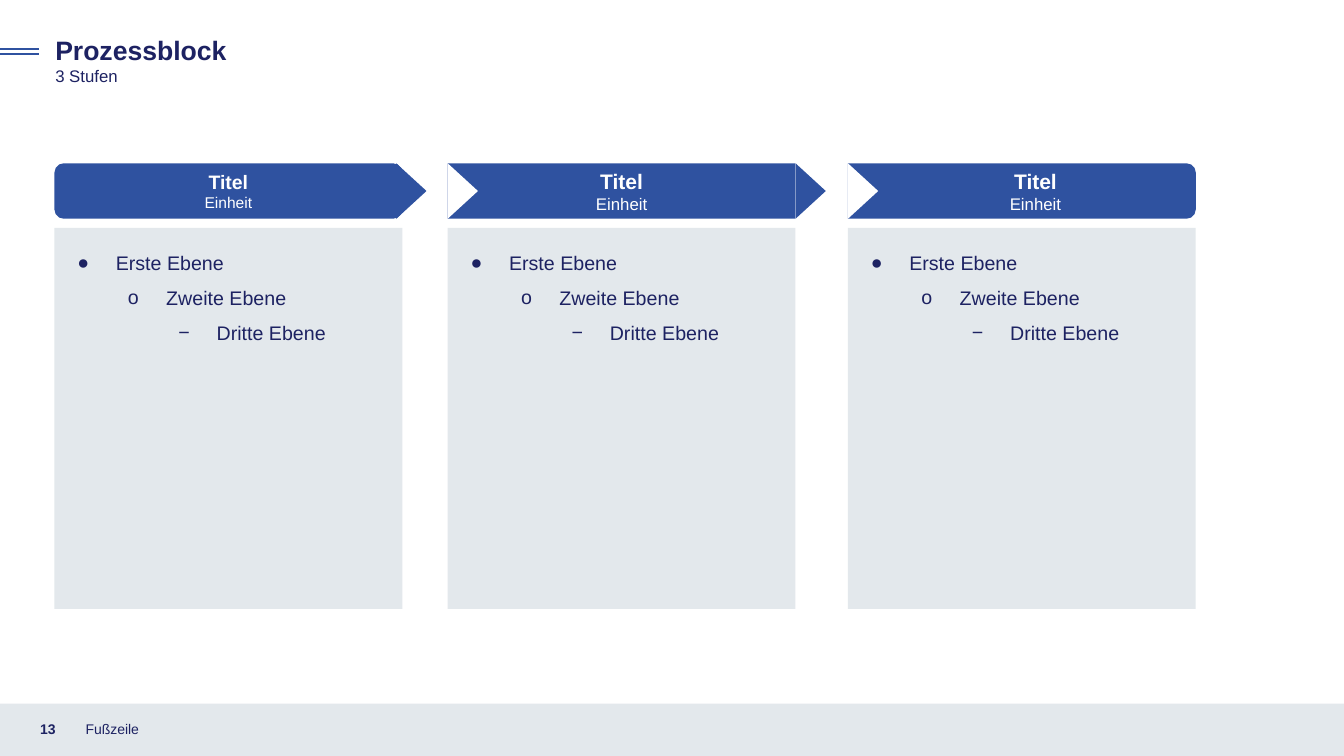
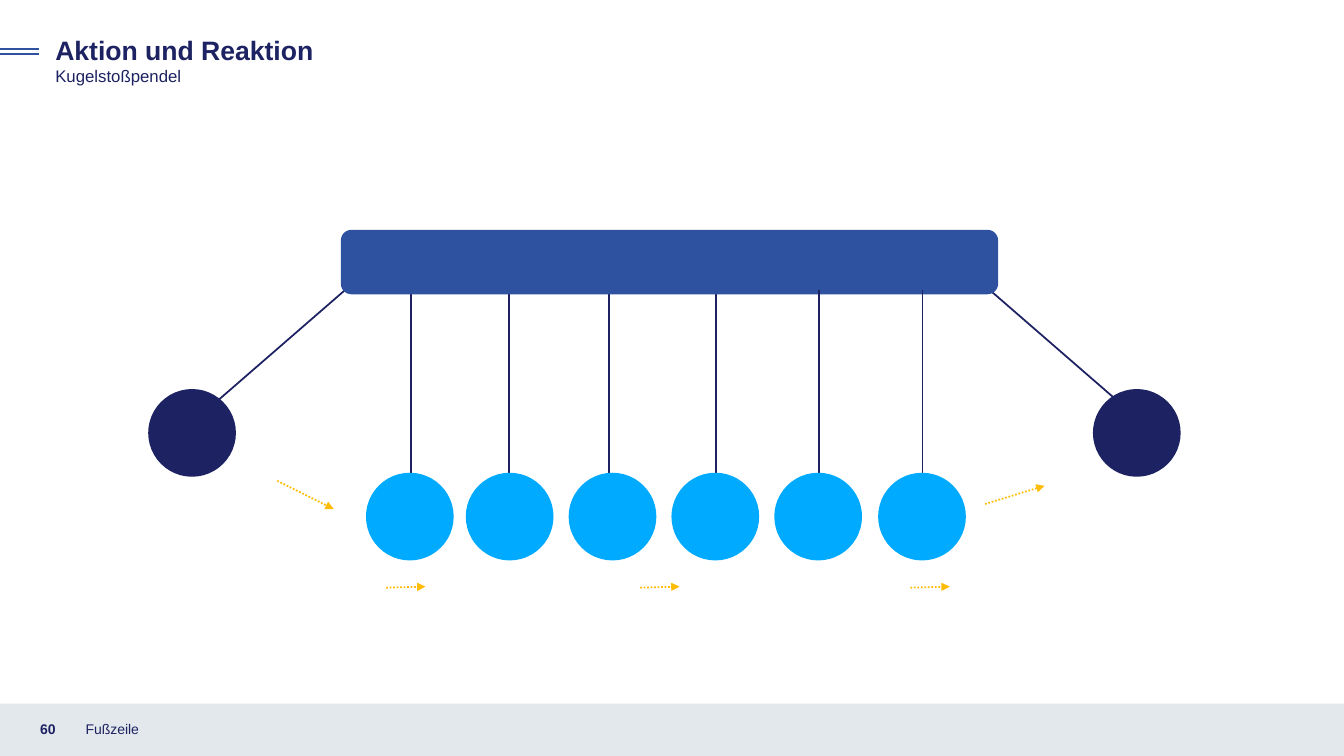
from dataclasses import dataclass
from typing import NamedTuple

from lxml import etree
from pptx import Presentation
from pptx import util as u
from pptx.dml.color import RGBColor
from pptx.enum import dml, shapes, text
from pptx.oxml import ns

SHAPE = shapes.MSO_SHAPE
ALIGN = text.PP_ALIGN
ANCHOR = text.MSO_ANCHOR


@dataclass(frozen=True)
class Theme:
    font: str = "Arial"
    navy: str = "1D2262"
    blue: str = "2F52A0"
    sky: str = "00AAFF"
    amber: str = "FFBC04"
    grey: str = "E3E8EC"
    white: str = "FFFFFF"
    title: float = 19
    subtitle: float = 12
    body: float = 14
    footer: float = 10
    rule: float = 1.5
    string: float = 1.25


THEME = Theme()
SLIDE_WIDTH, SLIDE_HEIGHT = 13.33, 7.5


class Area(NamedTuple):
    left: float
    top: float
    width: float
    height: float

    def lengths(self) -> list:
        return [u.Inches(value) for value in self]


class Point(NamedTuple):
    x: float
    y: float


class Span(NamedTuple):
    text: str
    size: float
    color: str
    bold: bool = False


class Bullet(NamedTuple):
    mark: str
    text: str


class Stage(NamedTuple):
    left: float
    outline: shapes.MSO_SHAPE
    title_size: float
    unit_size: float
    notched: bool
    tip_left: float | None
    label_inset: float = 0


class Ball(NamedTuple):
    left: float
    string_x: float
    string_in_front: bool = False


class Arrow(NamedTuple):
    start: Point
    end: Point


PANEL_WIDTH, PANEL_TOP, PANEL_HEIGHT = 3.45, 2.26, 3.78
HEADER_TOP, HEADER_HEIGHT = 1.62, 0.55
POINT_DEPTH = 0.3
STAGES = (
    Stage(0.54, SHAPE.ROUNDED_RECTANGLE, 13.9, 11.1, False, 3.93),
    Stage(4.44, SHAPE.RECTANGLE, 15, 12, True, 7.89),
    Stage(8.41, SHAPE.ROUND_2_SAME_RECTANGLE, 15, 12, True, None, 0.27),
)
BULLETS = (
    Bullet("●", "Erste Ebene"),
    Bullet("o", "Zweite Ebene"),
    Bullet("−", "Dritte Ebene"),
)

BALL_SIZE = 0.87
ROW_TOP, RAISED_TOP = 4.69, 3.86
STRING_TOP, STRING_END = 2.88, 4.73
BALLS = (
    Ball(3.63, 4.08),
    Ball(4.62, 5.05),
    Ball(5.64, 6.04),
    Ball(6.66, 7.1),
    Ball(7.68, 8.12, True),
    Ball(8.71, 9.15, True),
)
RAISED_LEFTS = (1.47, 10.84)
RAISED_STRINGS = (
    (Point(2.13, 4), Point(3.42, STRING_TOP)),
    (Point(11.11, 4), Point(9.82, STRING_TOP)),
)
ARROWS = (
    Arrow(Point(2.75, 4.77), Point(3.31, 5.05)),
    *(Arrow(Point(x, 5.83), Point(x + 0.39, 5.82)) for x in (3.83, 6.35, 9.03)),
    Arrow(Point(9.77, 5), Point(10.36, 4.82)),
)


def add_element(parent, tag: str, **attributes: str):
    return etree.SubElement(parent, ns.qn(tag), attributes)


def add_span(para, span: Span) -> None:
    run = para.add_run()
    run.text = span.text
    font = run.font
    font.name = THEME.font
    font.size = u.Pt(span.size)
    font.bold = span.bold
    font.color.rgb = RGBColor.from_string(span.color)


def add_text(page, area: Area, spans: list[Span], align=ALIGN.LEFT, anchor=ANCHOR.MIDDLE):
    """Add a wrapping text box with one paragraph per span."""
    box = page.shapes.add_textbox(*area.lengths())
    frame = box.text_frame
    frame.word_wrap = True
    frame.vertical_anchor = anchor
    for index, span in enumerate(spans):
        para = frame.add_paragraph() if index else frame.paragraphs[0]
        para.alignment = align
        add_span(para, span)
    return box


def add_block(page, kind: shapes.MSO_SHAPE, area: Area, color: str, turned: bool = False) -> None:
    """Add a filled shape; a turned one points right and still covers the area."""
    if turned:
        center_x = area.left + area.width / 2
        center_y = area.top + area.height / 2
        area = Area(center_x - area.height / 2, center_y - area.width / 2, area.height, area.width)
    block = page.shapes.add_shape(kind, *area.lengths())
    block.shadow.inherit = False
    block.rotation = 90 if turned else 0
    block.fill.solid()
    block.fill.fore_color.rgb = RGBColor.from_string(color)
    block.line.fill.background()


def add_line(page, start: Point, end: Point, color: str, width: float):
    line = page.shapes.add_connector(
        shapes.MSO_CONNECTOR.STRAIGHT, *(u.Inches(value) for value in (*start, *end))
    )
    line.line.color.rgb = RGBColor.from_string(color)
    line.line.width = u.Pt(width)
    add_element(line._element.spPr, "a:effectLst")
    return line


def add_arrow(page, arrow: Arrow) -> None:
    line = add_line(page, arrow.start, arrow.end, THEME.amber, THEME.string)
    line.line.dash_style = dml.MSO_LINE.ROUND_DOT
    add_element(line.line._get_or_add_ln(), "a:tailEnd", type="triangle")


def add_page(deck, title: str, subtitle: str, number: int):
    """Add a blank page with the shared heading, rules and footer band."""
    page = deck.slides.add_slide(deck.slide_layouts[6])
    add_block(page, SHAPE.RECTANGLE, Area(0, 6.98, SLIDE_WIDTH, SLIDE_HEIGHT - 6.98), THEME.grey)
    add_text(page, Area(0.3, 7.03, 0.45, 0.4), [Span(str(number), THEME.footer, THEME.navy, True)])
    add_text(page, Area(0.75, 7.03, 4.5, 0.4), [Span("Fußzeile", THEME.footer, THEME.navy)])
    add_text(page, Area(0.45, 0.29, 7.72, 0.42),
             [Span(title, THEME.title, THEME.navy, True)], anchor=ANCHOR.TOP)
    add_text(page, Area(0.45, 0.6, 3.46, 0.3),
             [Span(subtitle, THEME.subtitle, THEME.navy)], anchor=ANCHOR.TOP)
    for y in (0.49, 0.54):
        add_line(page, Point(0, y), Point(0.39, y), THEME.blue, THEME.rule)
    return page


def add_bullets(page, area: Area) -> None:
    spans = [Span(bullet.text, THEME.body, THEME.navy) for bullet in BULLETS]
    box = add_text(page, area, spans, anchor=ANCHOR.TOP)
    for level, (para, bullet) in enumerate(zip(box.text_frame.paragraphs, BULLETS)):
        para.level = level
        para.line_spacing = 1.5
        properties = para._p.get_or_add_pPr()
        properties.set("marL", str(u.Inches(0.38 + 0.5 * level)))
        properties.set("indent", str(u.Inches(-0.38)))
        add_element(add_element(properties, "a:buClr"), "a:srgbClr", val=THEME.navy)
        add_element(properties, "a:buFont", typeface=THEME.font)
        add_element(properties, "a:buChar", char=bullet.mark)


def add_stage(page, stage: Stage) -> None:
    add_block(page, SHAPE.RECTANGLE,
              Area(stage.left, PANEL_TOP, PANEL_WIDTH, PANEL_HEIGHT), THEME.grey)
    add_bullets(page, Area(stage.left + 0.13, PANEL_TOP + 0.06, 3.11, 3.48))

    header = Area(stage.left, HEADER_TOP, PANEL_WIDTH, HEADER_HEIGHT)
    if stage.tip_left is not None:
        add_block(page, SHAPE.ISOSCELES_TRIANGLE,
                  header._replace(left=stage.tip_left, width=POINT_DEPTH), THEME.blue, turned=True)
    add_block(page, stage.outline, header, THEME.blue,
              turned=stage.outline == SHAPE.ROUND_2_SAME_RECTANGLE)
    if stage.notched:
        add_block(page, SHAPE.ISOSCELES_TRIANGLE,
                  header._replace(width=POINT_DEPTH), THEME.white, turned=True)
    label = header._replace(left=stage.left + stage.label_inset,
                            width=PANEL_WIDTH - stage.label_inset)
    add_text(page, label, [Span("Titel", stage.title_size, THEME.white, True),
                           Span("Einheit", stage.unit_size, THEME.white)], ALIGN.CENTER)


def add_strings(page, in_front: bool) -> None:
    for ball in BALLS:
        if ball.string_in_front == in_front:
            add_line(page, Point(ball.string_x, STRING_END), Point(ball.string_x, STRING_TOP),
                     THEME.navy, THEME.string)


def add_ball(page, left: float, top: float, color: str) -> None:
    add_block(page, SHAPE.OVAL, Area(left, top, BALL_SIZE, BALL_SIZE), color)


def build_process(deck) -> None:
    page = add_page(deck, "Prozessblock", "3 Stufen", 13)
    for stage in STAGES:
        add_stage(page, stage)


def build_pendulum(deck) -> None:
    page = add_page(deck, "Aktion und Reaktion", "Kugelstoßpendel", 60)
    for start, end in RAISED_STRINGS:
        add_line(page, start, end, THEME.navy, THEME.string)
    add_strings(page, in_front=False)
    add_block(page, SHAPE.ROUNDED_RECTANGLE, Area(3.38, 2.28, 6.52, 0.64), THEME.blue)
    add_strings(page, in_front=True)
    for left in RAISED_LEFTS:
        add_ball(page, left, RAISED_TOP, THEME.navy)
    for ball in BALLS:
        add_ball(page, ball.left, ROW_TOP, THEME.sky)
    for arrow in ARROWS:
        add_arrow(page, arrow)


def main() -> None:
    deck = Presentation()
    deck.slide_width = u.Inches(SLIDE_WIDTH)
    deck.slide_height = u.Inches(SLIDE_HEIGHT)
    build_process(deck)
    build_pendulum(deck)
    deck.save("out.pptx")


if __name__ == "__main__":
    main()
